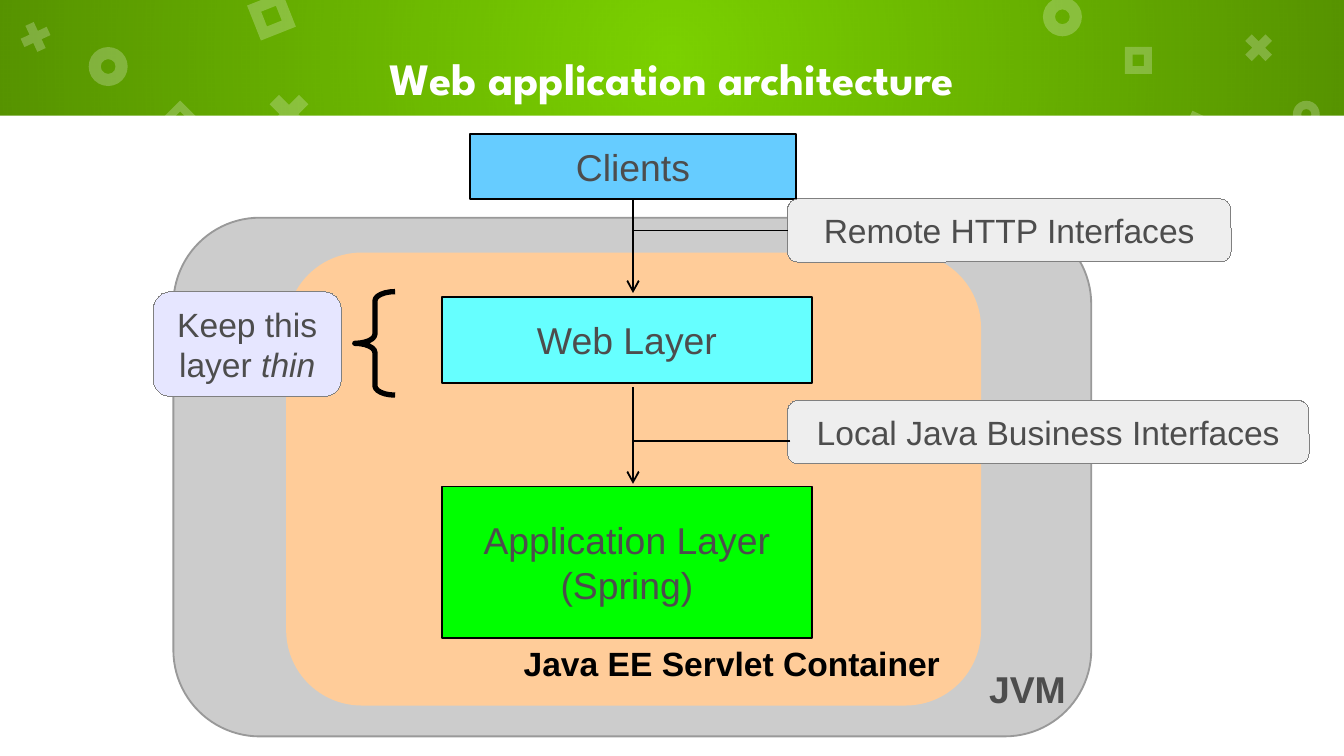
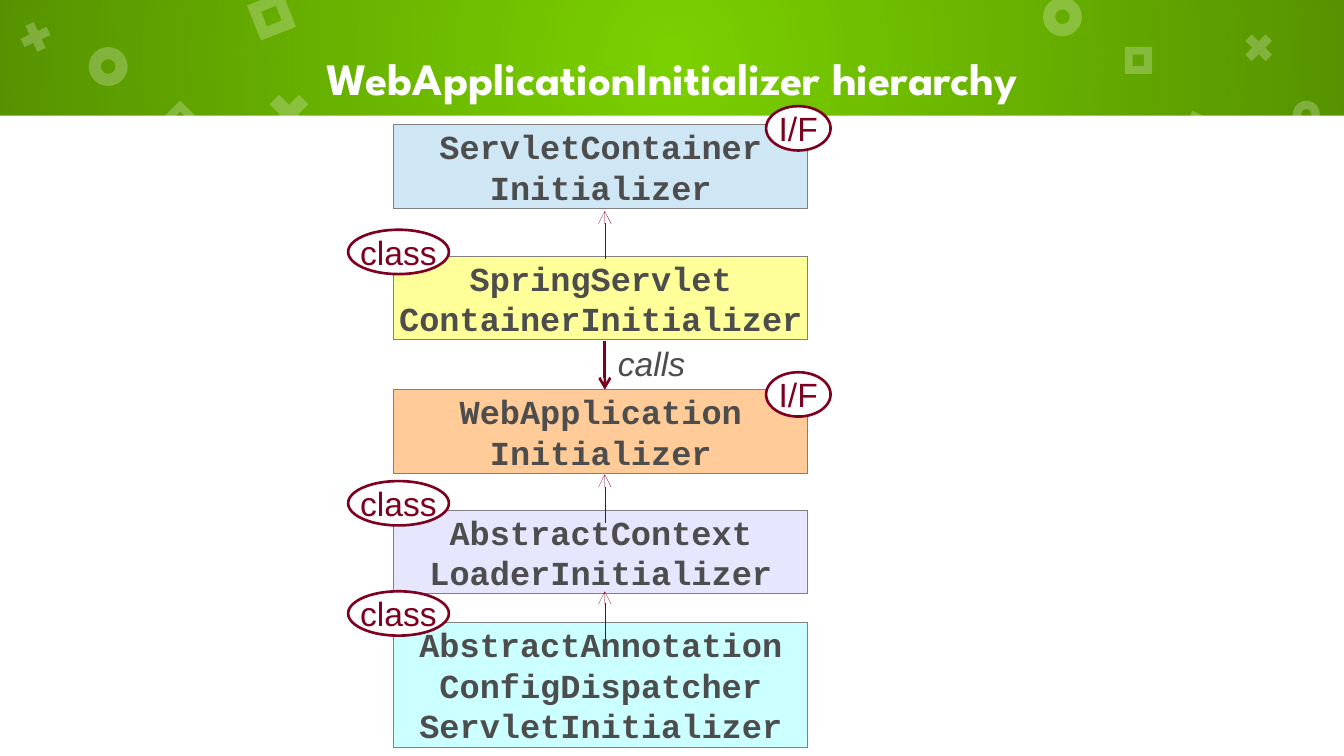
from dataclasses import dataclass

from lxml import etree
from pptx import Presentation
from pptx.dml.color import RGBColor
from pptx.enum.shapes import MSO_CONNECTOR, MSO_SHAPE
from pptx.enum.text import MSO_ANCHOR, PP_ALIGN
from pptx.oxml.ns import qn
from pptx.util import Inches, Pt

RECT = MSO_SHAPE.RECTANGLE
ROUNDED = MSO_SHAPE.ROUNDED_RECTANGLE
OVAL = MSO_SHAPE.OVAL
BRACE = MSO_SHAPE.LEFT_BRACE
DONUT = MSO_SHAPE.DONUT
CROSS = MSO_SHAPE.MATH_MULTIPLY
FRAME = MSO_SHAPE.FRAME
STRAIGHT = MSO_CONNECTOR.STRAIGHT
LEFT, CENTER, RIGHT = PP_ALIGN.LEFT, PP_ALIGN.CENTER, PP_ALIGN.RIGHT
TOP, MIDDLE, BOTTOM = MSO_ANCHOR.TOP, MSO_ANCHOR.MIDDLE, MSO_ANCHOR.BOTTOM
SIDE_LEFT, SIDE_BOTTOM = 1, 2


@dataclass(frozen=True)
class Theme:
    green: str = "7BD100"
    white: str = "FFFFFF"
    black: str = "000000"
    text: str = "4D4D4D"
    edge: str = "808080"
    maroon: str = "7E0021"
    jvm: str = "CCCCCC"
    jvm_edge: str = "999999"
    peach: str = "FFCC99"
    lavender: str = "E6E6FF"
    callout: str = "EEEEEE"
    clients: str = "66CCFF"
    web: str = "66FFFF"
    application: str = "00FF00"
    pale_blue: str = "CFE7F5"
    yellow: str = "FFFF99"
    pale_cyan: str = "CCFFFF"
    title_font: str = "League Spartan"
    body_font: str = "Arial"
    code_font: str = "Courier New"
    title_size: int = 24
    layer_size: int = 20
    body_size: int = 18
    hairline: float = 0
    thin: float = 1
    medium: float = 1.42
    thick: float = 2.83


THEME = Theme()
WIDTH, BAND = 10, 0.86
HEIGHT = WIDTH * 9 / 16

ADJUSTMENTS = {DONUT: 0.31, CROSS: 0.235, FRAME: 0.289}
DECORATIONS = [
    (DONUT, 0.66, 0.35, 0.29, 0),
    (CROSS, 1.94, 0.64, 0.42, 0),
    (FRAME, 1.88, -0.02, 0.28, 338.4),
    (DONUT, 7.76, -0.02, 0.29, 0),
    (FRAME, 8.8, 0.87, 0.28, 25),
    (CROSS, 0.12, 0.13, 0.29, 20.4),
    (FRAME, 1.24, 0.79, 0.2, 45),
    (DONUT, 9.62, 0.75, 0.2, 0),
    (CROSS, 9.22, 0.21, 0.29, 0),
    (FRAME, 8.37, 0.35, 0.2, 0),
]

GRADIENT = (
    '<a:gradFill xmlns:a="http://schemas.openxmlformats.org/drawingml/2006/main"'
    ' rotWithShape="1"><a:gsLst>'
    '<a:gs pos="0"><a:srgbClr val="000000"><a:alpha val="0"/></a:srgbClr></a:gs>'
    '<a:gs pos="100000"><a:srgbClr val="000000"><a:alpha val="30000"/></a:srgbClr></a:gs>'
    '</a:gsLst><a:path path="circle">'
    '<a:fillToRect l="50000" t="50000" r="50000" b="50000"/></a:path></a:gradFill>'
)


def rgb(color):
    return RGBColor.from_string(color)


def set_stroke(shape, color, weight):
    shape.line.color.rgb = rgb(color)
    shape.get_or_add_ln().set("w", str(int(Pt(weight))))


def add_box(page, kind, left, top, width, height, fill=None, edge=None, weight=0):
    box = page.shapes.add_shape(
        kind, Inches(left), Inches(top), Inches(width), Inches(height))
    box.shadow.inherit = False
    if fill:
        box.fill.solid()
        box.fill.fore_color.rgb = rgb(fill)
    else:
        box.fill.background()
    if edge:
        set_stroke(box, edge, weight)
    else:
        box.line.fill.background()
    return box


def write(box, text, size=THEME.body_size, font=THEME.body_font, color=THEME.text,
          bold=False, align=CENTER, anchor=MIDDLE, wrap=True,
          insets=(0.1, 0.05, 0.1, 0.05)):
    frame = box.text_frame
    frame.word_wrap = wrap
    frame.vertical_anchor = anchor
    (frame.margin_left, frame.margin_top,
     frame.margin_right, frame.margin_bottom) = map(Inches, insets)
    for index, row in enumerate(text.split("\n")):
        para = frame.add_paragraph() if index else frame.paragraphs[0]
        para.alignment = align
        for number, piece in enumerate(row.split("\v")):
            if number:
                para.add_line_break()
            for part, words in enumerate(piece.split("*")):
                if not words:
                    continue
                span = para.add_run()
                span.text = words
                span.font.name = font
                span.font.size = Pt(size)
                span.font.bold = bold
                span.font.italic = part % 2 == 1
                span.font.color.rgb = rgb(color)


def add_text(page, left, top, width, height, text, **style):
    box = page.shapes.add_textbox(
        Inches(left), Inches(top), Inches(width), Inches(height))
    write(box, text, **style)


def add_line(page, start, end, color, weight, arrow=False, source=None):
    line = page.shapes.add_connector(STRAIGHT, *map(Inches, start + end))
    if source:
        line.begin_connect(*source)
    set_stroke(line, color, weight)
    if arrow:
        etree.SubElement(line.get_or_add_ln(), qn("a:tailEnd"), type="arrow")
    etree.SubElement(line._element.spPr, qn("a:effectLst"))


def add_decoration(page, kind, left, top, size, rotation):
    shape = add_box(page, kind, left, top, size, size, THEME.white)
    shape.adjustments[0] = ADJUSTMENTS[kind]
    shape.rotation = rotation
    color = shape._element.spPr.find(qn("a:solidFill")).find(qn("a:srgbClr"))
    etree.SubElement(color, qn("a:alpha"), val="24000")


def add_page(deck, title):
    page = deck.slides.add_slide(deck.slide_layouts[6])
    page.background.fill.solid()
    page.background.fill.fore_color.rgb = rgb(THEME.green)
    band = add_box(page, RECT, 0, 0, WIDTH, BAND)
    properties = band._element.spPr
    properties.replace(properties.find(qn("a:noFill")), etree.fromstring(GRADIENT))
    add_box(page, RECT, 0, BAND, WIDTH, HEIGHT - BAND, THEME.white)
    for decoration in DECORATIONS:
        add_decoration(page, *decoration)
    add_text(page, 0.95, 0, 8.1, 1.16, title, size=THEME.title_size,
             font=THEME.title_font, color=THEME.white, bold=True, insets=(0.1,) * 4)
    return page


def add_layer(page, left, top, width, height, fill, text):
    box = add_box(page, RECT, left, top, width, height, fill, THEME.black, THEME.thin)
    write(box, text, size=THEME.layer_size)
    return box


def add_callout(page, left, top, width, height, fill, text):
    box = add_box(page, ROUNDED, left, top, width, height, fill,
                  THEME.edge, THEME.hairline)
    write(box, text)
    return box


def add_badge(page, label, top):
    left, width = (5.7, 0.48) if label == "I/F" else (2.59, 0.75)
    box = add_box(page, OVAL, left, top, width, 0.33, THEME.white,
                  THEME.maroon, THEME.medium)
    write(box, label, color=THEME.maroon, wrap=False, insets=(0.07, 0.06, 0.07, 0.06))


def build_architecture(deck):
    page = add_page(deck, "Web application architecture")
    jvm = add_box(page, ROUNDED, 1.29, 1.62, 6.83, 3.86, THEME.jvm,
                  THEME.jvm_edge, THEME.thin)
    write(jvm, "JVM", size=THEME.layer_size, bold=True, align=RIGHT, anchor=BOTTOM,
          insets=(0,) * 4)
    container = add_box(page, ROUNDED, 2.13, 1.88, 5.17, 3.37, THEME.peach)
    write(container, "Java EE Servlet Container", color=THEME.black, bold=True,
          align=RIGHT, anchor=BOTTOM, insets=(0, 0, 0.14, 0))

    add_layer(page, 3.29, 3.62, 2.75, 1.13, THEME.application,
              "Application Layer\n(Spring)")
    add_layer(page, 3.29, 2.21, 2.75, 0.64, THEME.web, "Web Layer")
    clients = add_layer(page, 3.5, 1, 2.42, 0.48, THEME.clients, "Clients")

    brace = add_box(page, BRACE, 2.64, 2.17, 0.3, 0.77, None, THEME.black, THEME.thick)
    brace.adjustments[0] = 0.23
    add_callout(page, 1.14, 2.17, 1.4, 0.78, THEME.lavender, "Keep this layer *thin*")
    remote_top, callout_height = 1.48, 0.47
    remote = add_callout(page, 5.86, remote_top, 3.3, callout_height, THEME.callout,
                         "Remote HTTP Interfaces")
    add_callout(page, 5.86, 2.98, 3.88, callout_height, THEME.callout,
                "Local Java Business Interfaces")

    stroke = (THEME.black, THEME.thin)
    flow = 4.71
    remote_middle = remote_top + callout_height / 2
    add_line(page, (flow, 1.48), (flow, 2.18), *stroke, arrow=True,
             source=(clients, SIDE_BOTTOM))
    add_line(page, (flow, 2.88), (flow, 3.6), *stroke, arrow=True)
    add_line(page, (5.86, remote_middle), (flow, remote_middle), *stroke,
             source=(remote, SIDE_LEFT))
    add_line(page, (5.88, 3.28), (flow, 3.28), *stroke)


def build_hierarchy(deck):
    page = add_page(deck, "WebApplicationInitializer hierarchy")
    types = [
        (0.93, THEME.pale_blue, "ServletContainer\nInitializer"),
        (1.91, THEME.yellow, "SpringServlet\vContainerInitializer"),
        (2.9, THEME.peach, "WebApplication\nInitializer"),
        (3.8, THEME.lavender, "AbstractContext\vLoaderInitializer"),
        (4.63, THEME.pale_cyan,
         "AbstractAnnotation\nConfigDispatcher\nServletInitializer"),
    ]
    for top, fill, name in types:
        height = 0.31 * len(name.splitlines())
        box = add_box(page, RECT, 2.93, top, 3.08, height, fill,
                      THEME.edge, THEME.hairline)
        write(box, name, font=THEME.code_font, bold=True, wrap=False)

    axis = 4.5
    add_line(page, (axis, 2.54), (axis, 2.9), THEME.maroon, THEME.medium, arrow=True)
    for tip in (1.57, 3.53, 4.4):
        add_line(page, (axis, tip + 0.36), (axis, tip), THEME.maroon, THEME.hairline,
                 arrow=True)
    add_text(page, 4.5, 2.5, 0.7, 0.4, "*calls*", align=LEFT, anchor=TOP, wrap=False)

    for label, tops in (("I/F", (0.79, 2.77)), ("class", (1.71, 3.58, 4.4))):
        for top in tops:
            add_badge(page, label, top)


def main():
    deck = Presentation()
    deck.slide_width = Inches(WIDTH)
    deck.slide_height = Inches(HEIGHT)
    build_architecture(deck)
    build_hierarchy(deck)
    deck.save("out.pptx")


if __name__ == "__main__":
    main()
